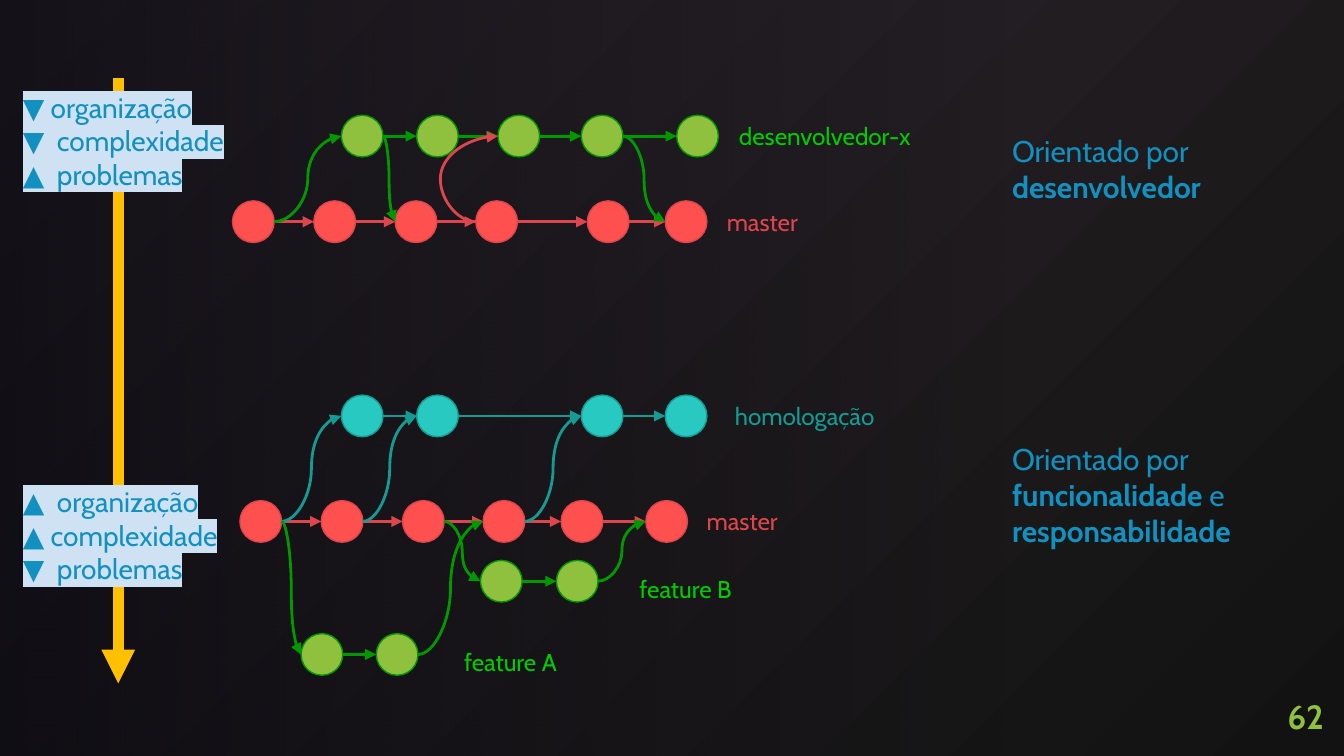
"""Build a slide comparing two Git branching models."""
import dataclasses

import lxml.etree
import pptx
import pptx.dml.color
import pptx.enum.shapes
import pptx.enum.text
import pptx.oxml.ns
import pptx.util

RGBColor = pptx.dml.color.RGBColor
RED, RED_EDGE = RGBColor(0xFF, 0x50, 0x50), RGBColor(0xDD, 0x46, 0x4C)
TEAL, TEAL_EDGE = RGBColor(0x28, 0xC9, 0xC0), RGBColor(0x14, 0x9B, 0x93)
GREEN, GREEN_EDGE = RGBColor(0x8F, 0xC1, 0x3E), RGBColor(0x00, 0x99, 0x00)
LIME, AMBER = RGBColor(0x00, 0xCC, 0x00), RGBColor(0xFF, 0xC0, 0x00)
BLUE, PALE_BLUE = RGBColor(0x12, 0x90, 0xBF), RGBColor(0xCF, 0xE2, 0xF3)
PLUM, CHARCOAL = RGBColor(0x32, 0x29, 0x31), RGBColor(0x12, 0x12, 0x12)
NIGHT = RGBColor(0x00, 0x02, 0x08)

COLUMNS, ROWS = 100, 56.25
CELL = pptx.util.Inches(0.1)
COMMIT_SIZE = 3.1
STRAIGHT = pptx.enum.shapes.MSO_CONNECTOR.STRAIGHT
CURVE = pptx.enum.shapes.MSO_CONNECTOR.CURVE


@dataclasses.dataclass(frozen=True)
class Branch:
    label: str
    row: float
    lefts: tuple[float, ...]
    fill: RGBColor
    edge: RGBColor
    ink: RGBColor
    label_left: float
    label_rise: float = 2.1


@dataclasses.dataclass(frozen=True)
class Merge:
    source: Branch
    source_index: int
    target: Branch
    target_index: int
    color: RGBColor
    from_left: bool = False
    bend: float = 0.5


@dataclasses.dataclass(frozen=True)
class Panel:
    placeholder: int
    area: tuple[float, float, float, float]
    size: int
    paragraphs: tuple[tuple[str, ...], ...]
    highlight: RGBColor | None = None


DEVELOPER = Branch("desenvolvedor-x", 10.13, (25.4, 31, 37.05, 43.25, 50.35),
                   GREEN, GREEN_EDGE, LIME, 54)
TOP_MASTER = Branch("master", 16.5, (17.3, 23.35, 29.4, 35.4, 43.7, 49.5),
                    RED, RED_EDGE, RED_EDGE, 53.1)
STAGING = Branch("homologação", 30.95, (25.4, 31, 43.25, 49.5),
                 TEAL, TEAL_EDGE, TEAL_EDGE, 53.7)
LOW_MASTER = Branch("master", 38.8, (17.85, 23.9, 29.95, 35.95, 41.75, 48.05),
                    RED, RED_EDGE, RED_EDGE, 51.6)
FEATURE_B = Branch("feature B", 43.25, (35.75, 41.4), GREEN, GREEN_EDGE, LIME, 46.6, 1.5)
FEATURE_A = Branch("feature A", 48.7, (22.4, 28), GREEN, GREEN_EDGE, LIME, 33.55, 1.55)
BRANCHES = (DEVELOPER, TOP_MASTER, STAGING, LOW_MASTER, FEATURE_B, FEATURE_A)

MERGES = (
    Merge(TOP_MASTER, 0, DEVELOPER, 0, GREEN_EDGE),
    Merge(DEVELOPER, 0, TOP_MASTER, 2, GREEN_EDGE),
    Merge(TOP_MASTER, 3, DEVELOPER, 2, RED_EDGE, from_left=True, bend=-1.6),
    Merge(DEVELOPER, 3, TOP_MASTER, 5, GREEN_EDGE),
    Merge(LOW_MASTER, 0, STAGING, 0, TEAL_EDGE),
    Merge(LOW_MASTER, 1, STAGING, 1, TEAL_EDGE),
    Merge(LOW_MASTER, 3, STAGING, 2, TEAL_EDGE),
    Merge(LOW_MASTER, 2, FEATURE_B, 0, GREEN_EDGE),
    Merge(FEATURE_B, 1, LOW_MASTER, 5, GREEN_EDGE),
    Merge(LOW_MASTER, 0, FEATURE_A, 0, GREEN_EDGE),
    Merge(FEATURE_A, 1, LOW_MASTER, 3, GREEN_EDGE),
)

PANELS = (
    Panel(1, (74.3, 8.9, 19.8, 7.6), 16, (("Orientado por ", "desenvolvedor"),)),
    Panel(2, (0.7, 5.7, 19.8, 10.2), 15,
          (("▼ organização",), ("▼  complexidade",), ("▲  problemas",)), PALE_BLUE),
    Panel(3, (74.3, 31.8, 19.8, 7.6), 16,
          (("Orientado por ", "funcionalidade ", "e ", "responsabilidade"),)),
    Panel(4, (0.7, 35.05, 18.4, 9.5), 15,
          (("▲  organização",), ("▲ complexidade",), ("▼  problemas",)), PALE_BLUE),
)


def cells(*counts: float) -> list[int]:
    return [round(count * CELL) for count in counts]


def add_element(parent, tag: str, **attributes: str):
    return lxml.etree.SubElement(parent, pptx.oxml.ns.qn(tag), attributes)


def write_text(box, paragraphs, *, size: int, color: RGBColor, highlight=None, bold=False,
               align=pptx.enum.text.PP_ALIGN.LEFT,
               anchor=pptx.enum.text.MSO_ANCHOR.TOP) -> None:
    frame = box.text_frame
    frame.word_wrap = True
    frame.auto_size = pptx.enum.text.MSO_AUTO_SIZE.NONE
    frame.vertical_anchor = anchor
    frame.margin_left = frame.margin_right = frame.margin_top = frame.margin_bottom = CELL
    for index, spans in enumerate(paragraphs):
        para = frame.add_paragraph() if index else frame.paragraphs[0]
        properties = para._p.get_or_add_pPr()
        properties.set("marL", "0")
        properties.set("indent", "0")
        add_element(properties, "a:buNone")
        para.alignment = align
        para.space_before = pptx.util.Pt(0)
        for position, text in enumerate(spans):
            span = para.add_run()
            span.text = text
            span.font.size = pptx.util.Pt(size)
            span.font.bold = bold or position % 2 == 1
            span.font.name = "Cabin"
            span.font.color.rgb = color
            if highlight is not None:
                mark = add_element(span._r.rPr, "a:highlight")
                add_element(mark, "a:srgbClr", val=str(highlight))
                span._r.rPr.find(pptx.oxml.ns.qn("a:solidFill")).addnext(mark)


def add_arrow(page, kind, start, end, color: RGBColor, width: float = 1.5):
    arrow = page.shapes.add_connector(kind, *cells(*start, *end))
    arrow.line.color.rgb = color
    arrow.line.width = pptx.util.Pt(width)
    add_element(arrow.line._get_or_add_ln(), "a:tailEnd", type="triangle")
    add_element(arrow._element.spPr, "a:effectLst")
    return arrow


def add_branch(page, branch: Branch) -> None:
    for left in branch.lefts:
        commit = page.shapes.add_shape(
            pptx.enum.shapes.MSO_SHAPE.OVAL,
            *cells(left, branch.row - COMMIT_SIZE / 2, COMMIT_SIZE, COMMIT_SIZE))
        commit.shadow.inherit = False
        commit.fill.solid()
        commit.fill.fore_color.rgb = branch.fill
        commit.line.color.rgb = branch.edge
        commit.line.width = pptx.util.Pt(0.75)
    for left, following in zip(branch.lefts, branch.lefts[1:]):
        add_arrow(page, STRAIGHT, (left + COMMIT_SIZE, branch.row),
                  (following, branch.row), branch.edge)
    label = page.shapes.add_textbox(
        *cells(branch.label_left, branch.row - branch.label_rise, 15.6, 4.3))
    write_text(label, [[branch.label]], size=13, color=branch.ink)


def add_merge(page, merge: Merge) -> None:
    left = merge.source.lefts[merge.source_index]
    start = left if merge.from_left else left + COMMIT_SIZE
    end = merge.target.lefts[merge.target_index]
    arrow = add_arrow(page, CURVE, (start, merge.source.row),
                      (end, merge.target.row), merge.color)
    guides = arrow._element.spPr.prstGeom.get_or_add_avLst()
    add_element(guides, "a:gd", name="adj1", fmla=f"val {round(merge.bend * 100000)}")


def add_panel(page, panel: Panel) -> None:
    box = page.placeholders[panel.placeholder]
    box.left, box.top, box.width, box.height = cells(*panel.area)
    page.shapes._spTree.append(box._element)
    write_text(box, panel.paragraphs, size=panel.size, color=BLUE, highlight=panel.highlight)


def set_gradient(fill, colors, angle: float) -> None:
    fill.gradient()
    fill.gradient_angle = angle
    for position, (stop, color) in enumerate(zip(fill.gradient_stops, colors)):
        stop.color.rgb = color
        stop.position = position


def add_backdrop(page) -> None:
    set_gradient(page.background.fill, (PLUM, CHARCOAL), 315)
    shade = page.shapes.add_shape(pptx.enum.shapes.MSO_SHAPE.RECTANGLE,
                                  *cells(0, 0, COLUMNS * 0.75, ROWS))
    shade.shadow.inherit = False
    shade.line.fill.background()
    set_gradient(shade.fill, (NIGHT, NIGHT), 180)
    tints = list(shade._element.spPr.iter(pptx.oxml.ns.qn("a:srgbClr")))
    for tint, alpha in zip(tints, ("0", "60000")):
        add_element(tint, "a:alpha", val=alpha)


def main() -> None:
    deck = pptx.Presentation()
    deck.slide_width, deck.slide_height = cells(COLUMNS, ROWS)
    page = deck.slides.add_slide(deck.slide_layouts[4])
    title = page.shapes.title._element
    title.getparent().remove(title)
    add_backdrop(page)
    add_arrow(page, STRAIGHT, (8.8, 5.8), (8.8, 50.85), AMBER, 6)
    for branch in BRANCHES:
        add_branch(page, branch)
    for merge in MERGES:
        add_merge(page, merge)
    for panel in PANELS:
        add_panel(page, panel)
    number = page.shapes.add_textbox(*cells(93.8, 50.2, 5.7, 6.1))
    write_text(number, [["62"]], size=18, color=GREEN, bold=True,
               align=pptx.enum.text.PP_ALIGN.RIGHT, anchor=pptx.enum.text.MSO_ANCHOR.MIDDLE)
    deck.save("out.pptx")


if __name__ == "__main__":
    main()
